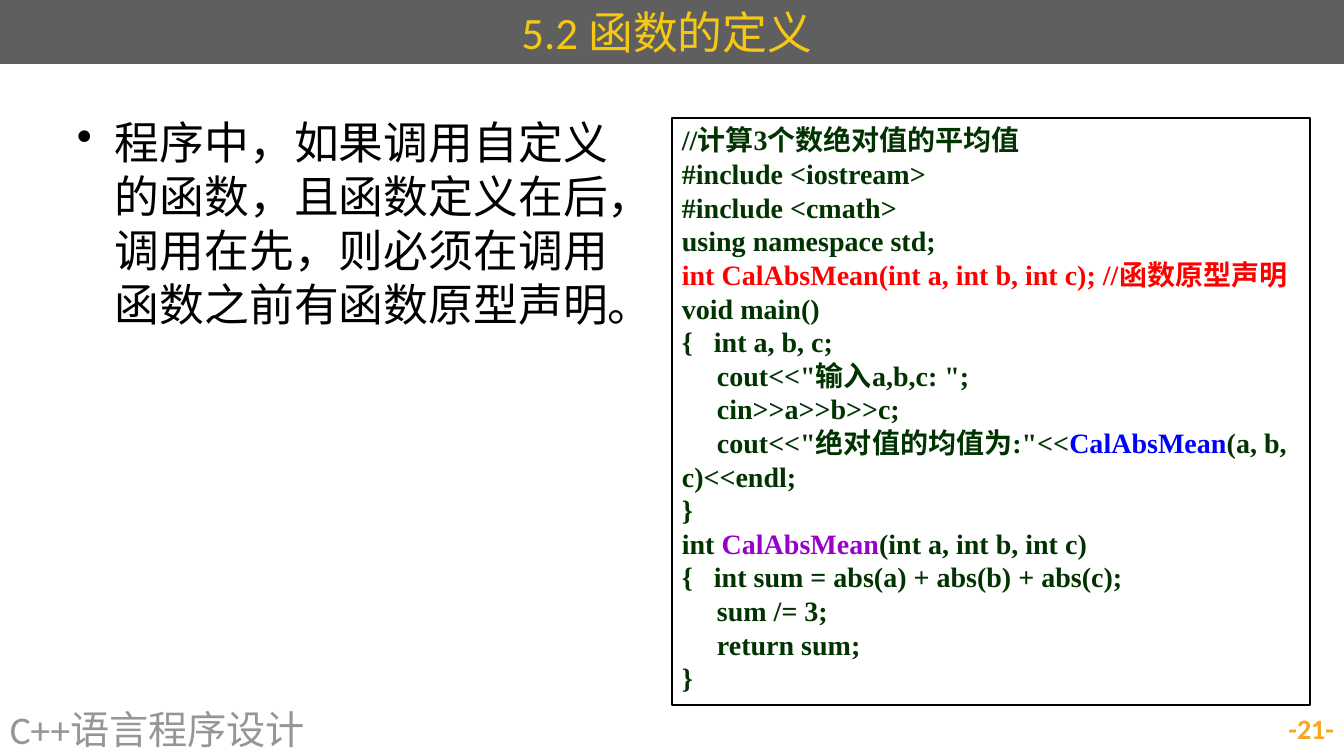
import pptx
import pptx.util
import pptx.dml.color
import pptx.enum.shapes
import pptx.enum.text
import pptx.oxml.ns
import lxml.etree

RGB = pptx.dml.color.RGBColor
ALIGN = pptx.enum.text.PP_ALIGN
ANCHOR = pptx.enum.text.MSO_ANCHOR
BLACK = RGB(0x00, 0x00, 0x00)
SLATE = RGB(0x5F, 0x5F, 0x5F)
GOLD = RGB(0xF6, 0xC8, 0x13)
GRAY = RGB(0x96, 0x96, 0x96)
AMBER = RGB(0xF8, 0xA7, 0x20)
GREEN = RGB(0x00, 0x33, 0x00)
RED = RGB(0xFF, 0x00, 0x00)
BLUE = RGB(0x00, 0x00, 0xFF)
PURPLE = RGB(0x99, 0x00, 0xCC)

SCALE = 914400 / 100.8  # EMU in one px


def px(size):
    return pptx.util.Emu(round(size * SCALE))


class Deck:
    sans = "Calibri"
    serif = "Times New Roman"

    def __init__(self, width, height):
        self.file = pptx.Presentation()
        self.file.slide_width = px(width)
        self.file.slide_height = px(height)
        self.slide = self.file.slides.add_slide(self.file.slide_layouts[6])

    def rect(self, box, fill=None, line=None):
        kind = pptx.enum.shapes.MSO_SHAPE.RECTANGLE
        shape = self.slide.shapes.add_shape(kind, *map(px, box))
        shape.shadow.inherit = False
        if fill is None:
            shape.fill.background()
        else:
            shape.fill.solid()
            shape.fill.fore_color.rgb = fill
        if line is None:
            shape.line.fill.background()
        else:
            shape.line.color.rgb = line
            shape.line.width = pptx.util.Pt(1)
        return shape

    def label(self, box):
        return self.slide.shapes.add_textbox(*map(px, box))

    def text(self, shape, lines, size, font=sans, bold=False,
             align=ALIGN.LEFT, anchor=ANCHOR.MIDDLE):
        """Each line is a list of (words, color) runs."""
        frame = shape.text_frame
        frame.word_wrap = True
        frame.vertical_anchor = anchor
        for i, line in enumerate(lines):
            para = frame.add_paragraph() if i else frame.paragraphs[0]
            para.alignment = align
            for words, color in line:
                run = para.add_run()
                run.text = words
                run.font.name = font
                run.font.size = pptx.util.Pt(size)
                run.font.bold = bold
                run.font.color.rgb = color

    def bullet(self, shape, indent):
        for para in shape.text_frame.paragraphs:
            props = para._p.get_or_add_pPr()
            props.set("marL", str(px(indent)))
            props.set("indent", str(-px(indent)))
            mark = pptx.oxml.ns.qn("a:buChar")
            lxml.etree.SubElement(props, mark).set("char", "•")


CODE = [
    [("//计算3个数绝对值的平均值", GREEN)],
    [("#include <iostream>", GREEN)],
    [("#include <cmath>", GREEN)],
    [("using namespace std;", GREEN)],
    [("int CalAbsMean(int a, int b, int c); //函数原型声明", RED)],
    [("void main()", GREEN)],
    [("{   int a, b, c;", GREEN)],
    [('     cout<<"输入a,b,c: ";', GREEN)],
    [("     cin>>a>>b>>c;", GREEN)],
    [('     cout<<"绝对值的均值为:"<<', GREEN), ("CalAbsMean", BLUE),
     ("(a, b, c)<<endl;", GREEN)],
    [("}", GREEN)],
    [("int ", GREEN), ("CalAbsMean", PURPLE),
     ("(int a, int b, int c)", GREEN)],
    [("{   int sum = abs(a) + abs(b) + abs(c);", GREEN)],
    [("     sum /= 3;", GREEN)],
    [("     return sum;", GREEN)],
    [("}", GREEN)],
]


def main():
    deck = Deck(1344, 756)

    # Title bar
    bar = deck.rect((0, 0, 1344, 64), fill=SLATE)
    deck.text(bar, [[("5.2 函数的定义 ", GOLD)]], 32, align=ALIGN.CENTER)

    # Main point
    body = deck.label((67, 110, 558, 565))
    point = "程序中，如果调用自定义的函数，且函数定义在后，调用在先，则必须在调用函数之前有函数原型声明。"
    deck.text(body, [[(point, BLACK)]], 32, anchor=ANCHOR.TOP)
    deck.bullet(body, 38)

    # Footer
    course = deck.label((0, 701, 885, 55))
    deck.text(course, [[("C++语言程序设计", GRAY)]], 28)
    page = deck.label((963, 701, 381, 55))
    deck.text(page, [[("-21-", AMBER)]], 20, bold=True, align=ALIGN.RIGHT)

    # Code listing
    code = deck.rect((672, 118, 638, 587), line=BLACK)
    deck.text(code, CODE, 20, font=deck.serif, bold=True, anchor=ANCHOR.TOP)

    deck.file.save("out.pptx")


if __name__ == "__main__":
    main()
